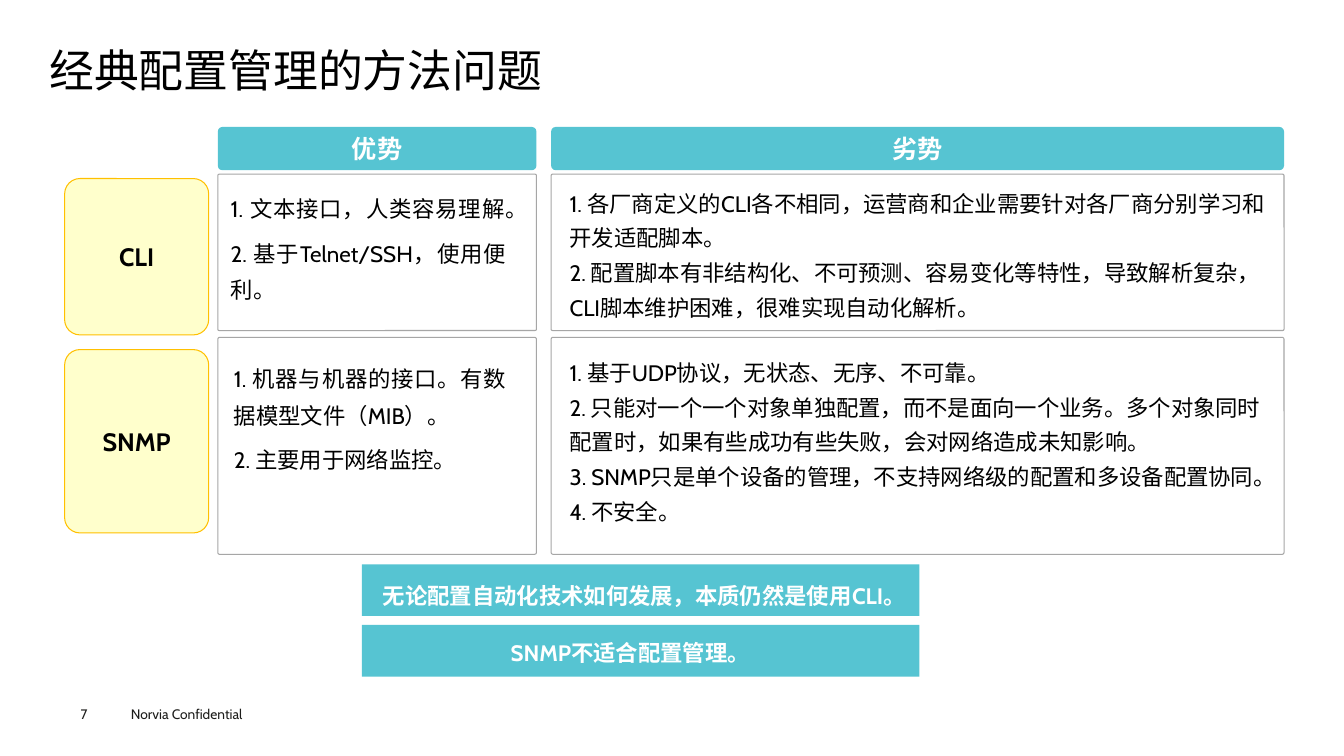
from pptx import Presentation
from pptx import util as u
from pptx.dml.color import RGBColor
from pptx.enum import shapes, text
from pptx.oxml.ns import qn
from lxml import etree

TEAL, WHITE, BLACK = "56C4D2", "FFFFFF", "000000"
ROUND, RECT = shapes.MSO_SHAPE.ROUNDED_RECTANGLE, shapes.MSO_SHAPE.RECTANGLE
LEFT, CENTER, JUSTIFY = text.PP_ALIGN.LEFT, text.PP_ALIGN.CENTER, text.PP_ALIGN.JUSTIFY
TOP, MIDDLE = text.MSO_ANCHOR.TOP, text.MSO_ANCHOR.MIDDLE
NO_INSET = dict.fromkeys(["margin_left", "margin_top", "margin_right", "margin_bottom"], 0)


def paint(target, color):
    if hasattr(target, "solid"):
        target.solid()
        target = target.fore_color
    target.rgb = RGBColor.from_string(color)


def write(shape, lines, size, color, bold=False, paragraph_format={}, frame_format={}):
    frame = shape.text_frame
    frame_values = {"word_wrap": True, "auto_size": text.MSO_AUTO_SIZE.NONE,
                    "vertical_anchor": TOP, **frame_format}
    for name, value in frame_values.items():
        setattr(frame, name, value)
    frame.text = "\n".join(lines)
    for paragraph in frame.paragraphs:
        if shape.is_placeholder:
            properties = paragraph._p.get_or_add_pPr()
            properties.set("marL", "0")
            properties.set("indent", "0")
            etree.SubElement(properties, qn("a:buNone"))
        paragraph_values = {"alignment": LEFT, "space_before": u.Pt(0), **paragraph_format}
        for name, value in paragraph_values.items():
            setattr(paragraph, name, value)
        for name, value in {"name": "Cabin", "size": u.Pt(size), "bold": bold}.items():
            setattr(paragraph.font, name, value)
        paint(paragraph.font.color, color)


presentation = Presentation()
presentation.slide_width, presentation.slide_height = u.Cm(33.87), u.Cm(19.05)
slide = presentation.slides.add_slide(presentation.slide_layouts.get_by_name("Comparison"))

title, *lists = slide.placeholders
title.left, title.top, title.width, title.height = map(u.Cm, (1.24, 1.24, 31.37, 1.37))
write(title, ["经典配置管理的方法问题"], 32, BLACK,
      paragraph_format={"line_spacing": 0.9}, frame_format=NO_INSET)

columns = [("优势", 5.49, 8.03), ("劣势", 13.89, 18.47)]
rows = [("CLI", 4.5, 3.94, 4.39, 3.94), ("SNMP", 8.81, 4.62, 8.5, 5.47)]
blocks = []
for heading, left, width in columns:
    blocks.append((ROUND, (left, 3.2, width, 1.09), 0.106, TEAL, None, heading, WHITE))
    for _, _, _, top, height in rows:
        blocks.append((ROUND, (left, top, width, height), 0.009, None, "A6A6A6", None, None))
for method, top, height, _, _ in rows:
    blocks.append((ROUND, (1.63, top, 3.63, height), 0.106, "FFFFCC", "FFC000", method, BLACK))
for top in (14.22, 15.75):
    blocks.append((RECT, (9.12, top, 14.05, 1.3), None, TEAL, None, None, None))

for kind, box, corner, fill, line, label, label_color in blocks:
    shape = slide.shapes.add_shape(kind, *map(u.Cm, box))
    shape.shadow.inherit = False
    if corner:
        shape.adjustments[0] = corner
    if fill:
        paint(shape.fill, fill)
    else:
        shape.fill.background()
    if line:
        paint(shape.line.fill, line)
        shape.line.width = u.Pt(0.75)
    else:
        shape.line.fill.background()
    if label:
        write(shape, [label], 18, label_color, True,
              {"alignment": CENTER}, {"vertical_anchor": MIDDLE})

strength_format = {"alignment": JUSTIFY, "line_spacing": u.Pt(26), "space_after": u.Pt(6)}
weakness_format = {"line_spacing": 1.3}
list_contents = [
    ((5.56, 4.55, 7.44, 3.25), strength_format,
     ["1. 文本接口，人类容易理解。", "2. 基于Telnet/SSH，使用便利。"]),
    ((14.1, 4.45, 18.24, 3.81), weakness_format,
     ["1. 各厂商定义的CLI各不相同，运营商和企业需要针对各厂商分别学习和开发适配脚本。",
      "2. 配置脚本有非结构化、不可预测、容易变化等特性，导致解析复杂，CLI脚本维护困难，很难实现自动化解析。"]),
    ((5.64, 8.84, 7.37, 3.25), strength_format,
     ["1. 机器与机器的接口。有数据模型文件（MIB）。", "2. 主要用于网络监控。"]),
    ((14.1, 8.71, 18.47, 4.7), weakness_format,
     ["1. 基于UDP协议，无状态、无序、不可靠。",
      "2. 只能对一个一个对象单独配置，而不是面向一个业务。多个对象同时配置时，如果有些成功有些失败，会对网络造成未知影响。",
      "3. SNMP只是单个设备的管理，不支持网络级的配置和多设备配置协同。",
      "4. 不安全。"]),
]
for shape, (box, paragraph_format, lines) in zip(lists, list_contents):
    shape.left, shape.top, shape.width, shape.height = map(u.Cm, box)
    write(shape, lines, 16, BLACK, paragraph_format=paragraph_format)

conclusion_format = {"line_spacing": 1.4}
captions = [
    ("无论配置自动化技术如何发展，本质仍然是使用CLI。", (9.4, 14.27, 14.48, 1.12),
     16, WHITE, True, conclusion_format, {}),
    ("SNMP不适合配置管理。", (12.62, 15.72, 8.74, 1.12),
     16, WHITE, True, conclusion_format, {}),
    ("Norvia Confidential", (3.05, 17.65, 4.06, 0.69), 9.8, "1D1D1B", False, {}, {}),
    ("7", (2.03, 17.78, 1.4, 0.41), 9.8, "1D1D1B", False, {}, NO_INSET),
]
for caption, box, *formats in captions:
    write(slide.shapes.add_textbox(*map(u.Cm, box)), [caption], *formats)

presentation.save("out.pptx")
